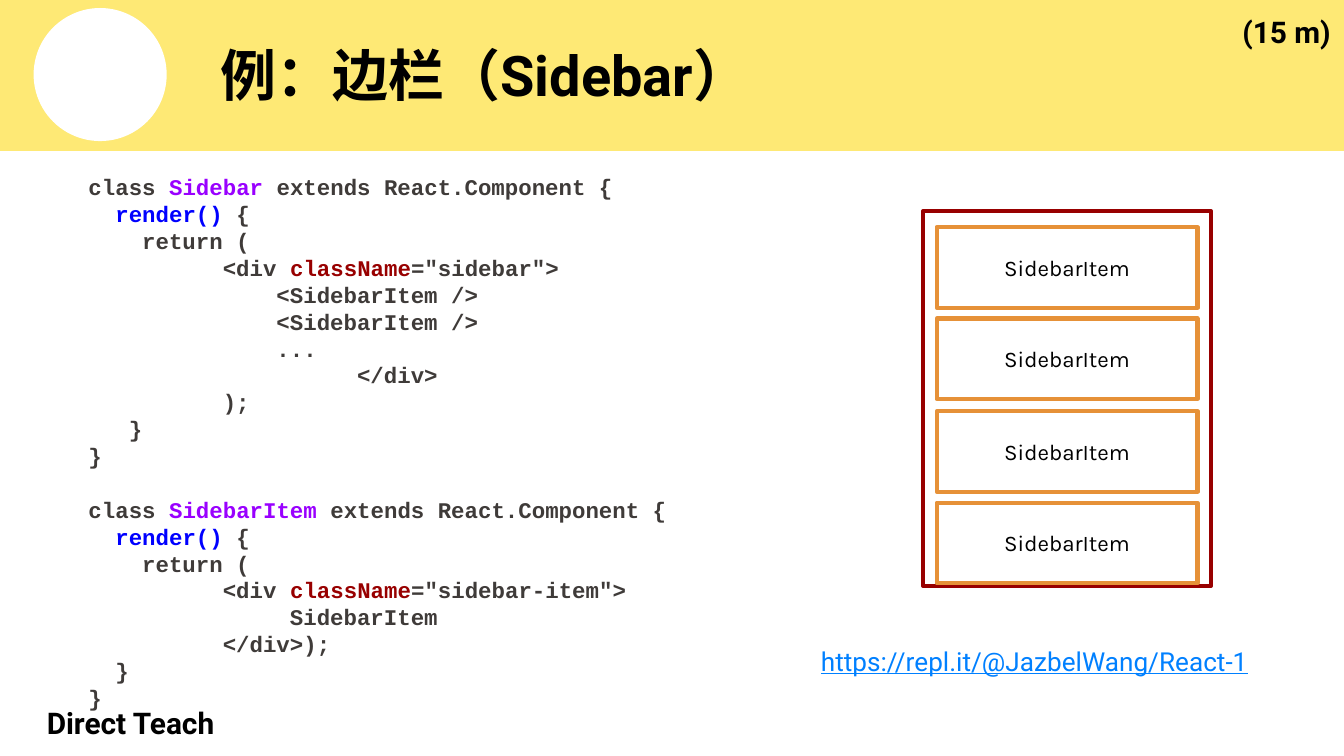
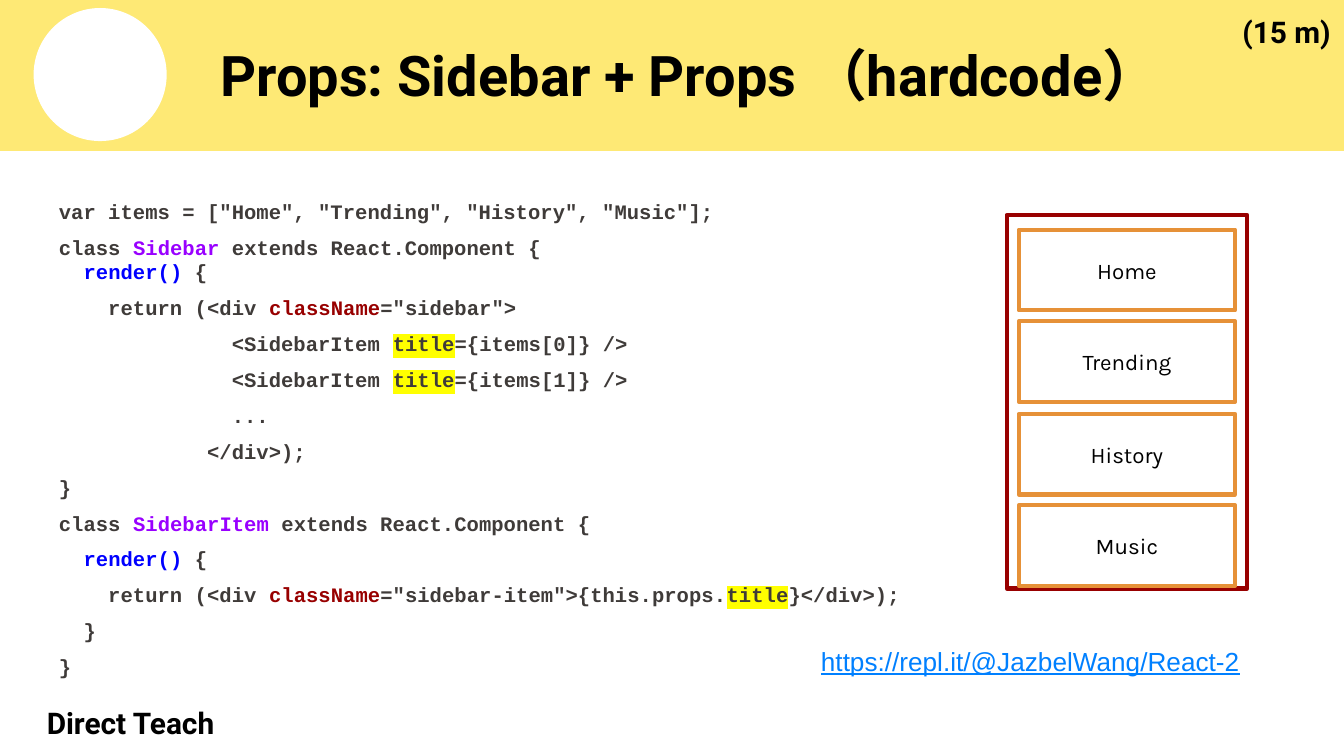
from lxml.etree import SubElement
from pptx import Presentation
from pptx.dml.color import RGBColor
from pptx.enum.shapes import MSO_SHAPE as SHAPE
from pptx.enum.text import MSO_ANCHOR as ANCHOR, MSO_AUTO_SIZE as FIT, PP_ALIGN as ALIGN
from pptx.oxml.ns import qn
from pptx.util import Pt

PX = 9144  # EMU per px, 100 px to the inch

# Shared colours and text styles
BLACK, WHITE, YELLOW = "000000", "FFFFFF", "FEE975"
CODE_GREY, LINK_BLUE = "3F3B39", "0080FF"
SIDEBAR_RED, ITEM_ORANGE, MARKER = "980000", "E69138", "FFFF00"
TOKEN_COLOURS = {"Sidebar": "9900FF", "SidebarItem": "9900FF",
                 "render()": "0000FF", "className": "980000"}

TITLE = {"name": "Roboto", "size": Pt(30), "bold": True}
LABEL = {"name": "Roboto", "size": Pt(16), "bold": True}
ITEM = {"name": "Karla", "size": Pt(12), "bold": False}


def rgb(hex_code):
    return RGBColor.from_string(hex_code)


def write(shape, lines, font, colour=BLACK, anchor=ANCHOR.TOP, align=ALIGN.LEFT,
          pitch=None, gaps=None, tokens=None):
    """Fill a shape with lines; bars set off the coloured tokens of code."""
    frame = shape.text_frame
    settings = {"word_wrap": True, "auto_size": FIT.NONE, "vertical_anchor": anchor}
    for side in ("left", "top", "right", "bottom"):
        settings[f"margin_{side}"] = 10 * PX
    for key, value in settings.items():
        setattr(frame, key, value)
    for number, line in enumerate(lines):
        paragraph = frame.add_paragraph() if number else frame.paragraphs[0]
        spacing = {"alignment": align, "line_spacing": pitch,
                   "space_before": Pt(gaps[number] if gaps else 0)}
        for key, value in spacing.items():
            setattr(paragraph, key, value)
        for token in filter(None, line.split("|")):
            run = paragraph.add_run()
            run.text = token
            for key, value in font.items():
                setattr(run.font, key, value)
            run.font.color.rgb = rgb((tokens or {}).get(token, colour))
            if token == "title":
                properties = run.font._element
                highlight = SubElement(properties, qn("a:highlight"))
                SubElement(highlight, qn("a:srgbClr"), val=MARKER)
                properties.find(qn("a:solidFill")).addnext(highlight)


# Content of the two slides
lessons = [
    {
        "title": "例：边栏（Sidebar）",
        "items": ["SidebarItem"] * 4,
        "sidebar": (687, 157, 214, 279),
        "inset": (10, 12),
        "code_box": (56, 119, 481, 369),
        "code_size": 12,
        "gap": 0,
        "other_gaps": {11: 14.4},
        "code": [
            'class |Sidebar| extends React.Component {',
            '  |render()| {',
            '    return (',
            '          <div |className|="sidebar">',
            '              <SidebarItem />',
            '              <SidebarItem />',
            '              ...',
            '                    </div>',
            '          );',
            '   }',
            '}',
            'class |SidebarItem| extends React.Component {',
            '  |render()| {',
            '    return (',
            '          <div |className|="sidebar-item">',
            '               SidebarItem',
            '          </div>);',
            '  }',
            '}',
        ],
        "link": "https://repl.it/@JazbelWang/React-1",
        "link_font": "Roboto",
    },
    {
        "title": "Props: Sidebar + Props （hardcode）",
        "items": ["Home", "Trending", "History", "Music"],
        "sidebar": (749, 160, 179, 278),
        "inset": (9, 11),
        "code_box": (34, 138, 666, 390),
        "code_size": 11,
        "gap": 6,
        "other_gaps": {0: 0, 2: 0},
        "code": [
            'var items = ["Home", "Trending", "History", "Music"];',
            'class |Sidebar| extends React.Component {',
            '  |render()| {',
            '    return (<div |className|="sidebar">',
            '              <SidebarItem |title|={items[0]} />',
            '              <SidebarItem |title|={items[1]} />',
            '              ...',
            '            </div>);',
            '}',
            'class |SidebarItem| extends React.Component {',
            '  |render()| {',
            '    return (<div |className|="sidebar-item">{this.props.|title|}</div>);',
            '  }',
            '}',
        ],
        "link": "https://repl.it/@JazbelWang/React-2",
        "link_font": "Arial",
    },
]

deck = Presentation()
deck.slide_width = 1000 * PX
deck.slide_height = deck.slide_width * 9 // 16
layout = deck.slide_layouts[5]
slides = [deck.slides.add_slide(layout) for lesson in lessons]

# Shared layout: header band, white disc and footer, built once and moved there
shapes = slides[0].shapes
band = shapes.add_shape(SHAPE.RECTANGLE, *(n * PX for n in (0, -1, 1000, 113)))
disc = shapes.add_shape(SHAPE.OVAL, *(n * PX for n in (25, 6, 99, 99)))
for shape, colour in ((band, YELLOW), (disc, WHITE)):
    shape.shadow.inherit = False
    shape.fill.solid()
    shape.fill.fore_color.rgb = rgb(colour)
band.line.color.rgb = rgb(YELLOW)
band.line.width = Pt(0.75)
disc.line.fill.background()
footer = shapes.add_textbox(*(n * PX for n in (25, 525, 300, 25)))
write(footer, ["Direct Teach"], LABEL, anchor=ANCHOR.MIDDLE)
for position, shape in enumerate((band, disc, footer)):
    shape._element.xpath(".//p:cNvPr")[0].set("id", str(50 + position))
    layout.shapes.element.insert(2 + position, shape._element)

for slide, lesson in zip(slides, lessons):
    # Title
    title = slide.shapes.title
    title.left, title.top, title.width, title.height = (n * PX for n in (154, 6, 820, 99))
    write(title, [lesson["title"]], TITLE, anchor=ANCHOR.MIDDLE)

    # Sidebar diagram: a frame around four evenly spaced items
    x, y, width, height = lesson["sidebar"]
    inset_x, inset_y = lesson["inset"]
    diagram = slide.shapes.add_group_shape()
    boxes = [(x, y, width, height, SIDEBAR_RED, None)]
    for row, name in enumerate(lesson["items"]):
        boxes.append((x + inset_x, y + inset_y + round(row * 68.3),
                      width - 2 * inset_x, 60, ITEM_ORANGE, name))
    for *place, colour, name in boxes:
        box = diagram.shapes.add_shape(SHAPE.RECTANGLE, *(n * PX for n in place))
        box.shadow.inherit = False
        box.fill.background()
        box.line.color.rgb = rgb(colour)
        box.line.width = Pt(2.25)
        if name:
            write(box, [name], ITEM, anchor=ANCHOR.MIDDLE, align=ALIGN.CENTER)

    # Code listing
    size = lesson["code_size"]
    gaps = [lesson["other_gaps"].get(n, lesson["gap"]) for n in range(len(lesson["code"]))]
    listing = slide.shapes.add_textbox(*(n * PX for n in lesson["code_box"]))
    write(listing, lesson["code"], {"name": "Courier New", "size": Pt(size), "bold": True},
          CODE_GREY, pitch=Pt(size * 1.2), gaps=gaps, tokens=TOKEN_COLOURS)

    # Web address and time allowance
    address = slide.shapes.add_textbox(*(n * PX for n in (601, 470, 341, 37)))
    write(address, [lesson["link"]],
          {"name": lesson["link_font"], "size": Pt(14), "underline": True}, LINK_BLUE)
    duration = slide.shapes.add_textbox(*(n * PX for n in (770, 0, 230, 61)))
    write(duration, ["(15 m)"], LABEL, align=ALIGN.RIGHT)

deck.save("out.pptx")
